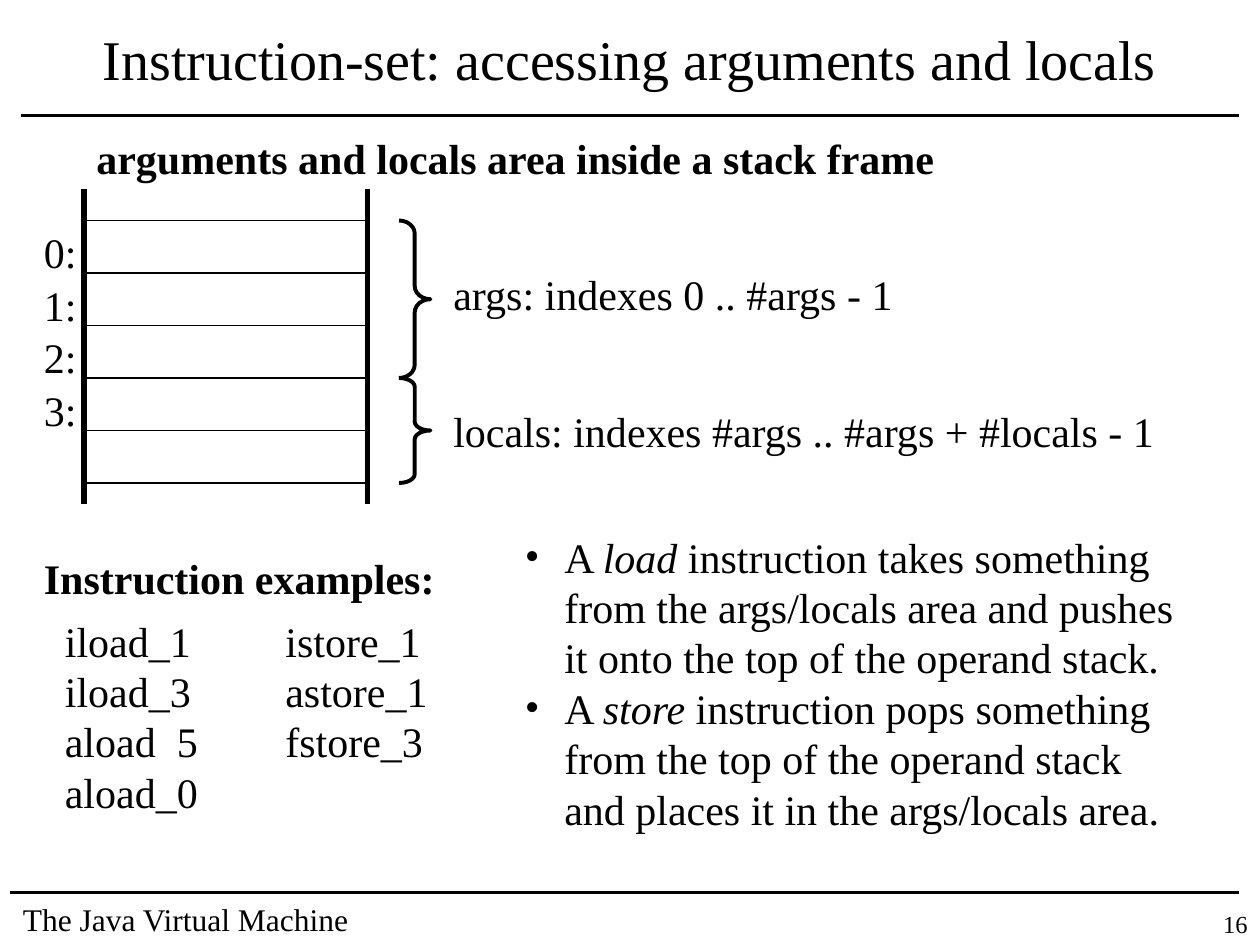
from lxml import etree
from pptx import Presentation
from pptx.dml.color import RGBColor
from pptx.enum.shapes import MSO_CONNECTOR, MSO_SHAPE
from pptx.enum.text import MSO_ANCHOR, PP_ALIGN
from pptx.oxml.ns import qn
from pptx.util import Pt

STRAIGHT = MSO_CONNECTOR.STRAIGHT
RIGHT_BRACE = MSO_SHAPE.RIGHT_BRACE
LEFT, CENTER, RIGHT = PP_ALIGN.LEFT, PP_ALIGN.CENTER, PP_ALIGN.RIGHT
TOP, MIDDLE = MSO_ANCHOR.TOP, MSO_ANCHOR.MIDDLE

COLORS = {"ink": "000000", "paper": "FFFFFF"}
FONT = "Times New Roman"
LINE_FACTOR = 1.2


class SlideBuilder:
    def __init__(self, page):
        self.page = page
        self.ink = RGBColor.from_string(COLORS["ink"])
        page.background.fill.solid()
        page.background.fill.fore_color.rgb = RGBColor.from_string(COLORS["paper"])

    def line(self, x1, y1, x2, y2, weight):
        connector = self.page.shapes.add_connector(
            STRAIGHT, Pt(x1), Pt(y1), Pt(x2), Pt(y2))
        connector.line.color.rgb = self.ink
        connector.line.width = Pt(weight)
        etree.SubElement(connector._element.spPr, qn("a:effectLst"))

    def brace(self, left, top, width, height):
        brace = self.page.shapes.add_shape(
            RIGHT_BRACE, Pt(left), Pt(top), Pt(width), Pt(height))
        # Each curve takes a twelfth of the height
        brace.adjustments[0] = height / 12 / width
        brace.shadow.inherit = False
        brace.fill.background()
        brace.line.color.rgb = self.ink
        brace.line.width = Pt(2.24)

    def text(self, left, top, width, height, paragraphs, size=24, bold=False,
             align=LEFT, anchor=TOP, wrap=False, bullets=False):
        """Each paragraph is a list of spans; every second span is italic."""
        box = self.page.shapes.add_textbox(Pt(left), Pt(top), Pt(width), Pt(height))
        frame = box.text_frame
        frame.word_wrap = wrap
        frame.vertical_anchor = anchor
        frame.text = "\n".join("" for _ in paragraphs)
        for para, spans in zip(frame.paragraphs, paragraphs):
            para.alignment = align
            para.line_spacing = Pt(size * LINE_FACTOR)
            if bullets:
                self.bullet(para)
            for index, words in enumerate(spans):
                span = para.add_run()
                span.text = words
                span.font.name = FONT
                span.font.size = Pt(size)
                span.font.bold = bold
                span.font.italic = index % 2 == 1
                span.font.color.rgb = self.ink

    def bullet(self, para):
        properties = para._p.get_or_add_pPr()
        properties.set("marL", str(Pt(27.4)))
        properties.set("indent", str(Pt(-22.5)))
        color = etree.SubElement(properties, qn("a:buClr"))
        etree.SubElement(color, qn("a:srgbClr"), val=COLORS["ink"])
        etree.SubElement(properties, qn("a:buFont"), typeface=FONT)
        etree.SubElement(properties, qn("a:buChar"), char="•")


deck = Presentation()
deck.slide_width, deck.slide_height = Pt(720), Pt(540)
slide = SlideBuilder(deck.slides.add_slide(deck.slide_layouts[6]))

# Title and footer
slide.line(12, 66, 708, 66, 2.24)
slide.line(6, 510, 708, 510, 2.24)
slide.text(18, 6, 684, 54, [["Instruction-set: accessing arguments and locals"]],
           size=32, align=CENTER, anchor=MIDDLE, wrap=True)
slide.text(6, 511, 276, 29, [["The Java Virtual Machine"]], size=18, wrap=True)
slide.text(666, 516, 54, 24, [["16"]], size=14, align=RIGHT, wrap=True)

# Stack frame: two walls, evenly spaced slots and their indexes
WALL_LEFT, WALL_RIGHT = 48, 210
SLOT_TOP, SLOT_HEIGHT, SLOT_COUNT = 126, 30, 5
slide.text(48, 72, 498, 36, [["arguments and locals area inside a stack frame"]],
           bold=True, wrap=True)
for wall in (WALL_LEFT, WALL_RIGHT):
    slide.line(wall, 108, wall, 288, 3)
for slot in range(SLOT_COUNT + 1):
    y = SLOT_TOP + slot * SLOT_HEIGHT
    slide.line(WALL_LEFT, y, WALL_RIGHT, y, 0.74)
for slot in range(4):
    slide.text(18, SLOT_TOP + slot * SLOT_HEIGHT, 33, 36, [[f"{slot}:"]])

# Braces over the slots: first slot, slot count, label top, label width, label
GROUPS = [
    (0, 3, 150, 266, "args: indexes 0 .. #args - 1"),
    (3, 2, 228, 415, "locals: indexes #args .. #args + #locals - 1"),
]
for first, count, label_top, label_width, label in GROUPS:
    slide.brace(228, SLOT_TOP + first * SLOT_HEIGHT, 18, count * SLOT_HEIGHT)
    slide.text(252, label_top, label_width, 36, [[label]])

# Instruction examples, in boxes wide enough for their longest line
slide.text(18, 312, 238, 36, [["Instruction examples:"]], bold=True)
EXAMPLES = [
    (30, 122, ["iload_1", "iload_3", "aload  5", "aload_0"]),
    (156, 94, ["istore_1", "astore_1", "fstore_3"]),
]
for left, height, names in EXAMPLES:
    slide.text(left, 348, 110, height, [[name] for name in names], wrap=True)

# Explanation
slide.text(288, 300, 396, 180, [
    ["A ", "load", " instruction takes something from the args/locals area "
     "and pushes it onto the top of the operand stack."],
    ["A ", "store", " instruction pops something from the top of the operand "
     "stack and places it in the args/locals area."],
], wrap=True, bullets=True)

deck.save("out.pptx")
